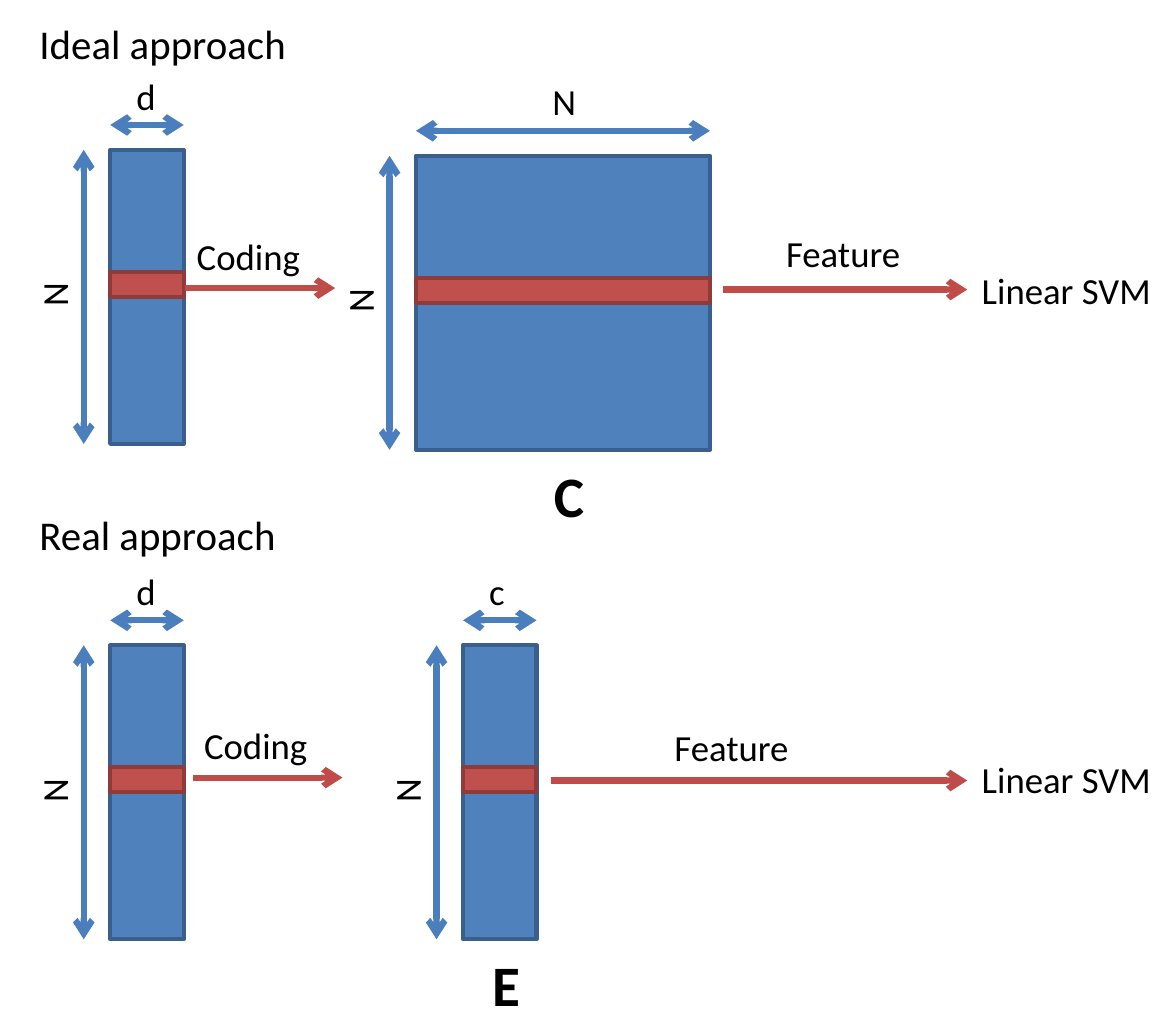
from dataclasses import dataclass

from lxml.etree import SubElement
from pptx import Presentation
from pptx.dml.color import RGBColor
from pptx.enum.shapes import MSO_CONNECTOR, MSO_SHAPE
from pptx.enum.text import MSO_AUTO_SIZE
from pptx.oxml.ns import qn
from pptx.util import Emu, Pt

EMU_PER_PX = 9144  # 100 px to the inch


@dataclass(frozen=True)
class Theme:
    font: str = "Calibri"
    text: str = "000000"
    matrix: str = "4F81BD"
    matrix_edge: str = "3A5F8C"
    dimension: str = "4B7EBC"
    row: str = "C0504D"
    row_edge: str = "8E3B39"
    flow: str = "BF4C48"
    label_size: int = 18
    heading_size: int = 20
    name_size: int = 28
    edge_width: int = 2
    arrow_width: int = 3


def px(n):
    return Emu(n * EMU_PER_PX)


def rgb(color):
    return RGBColor.from_string(color)


class Diagram:
    def __init__(self, slide, theme):
        self.slide = slide
        self.theme = theme

    def box(self, kind, x, y, w, h, fill, edge):
        sp = self.slide.shapes.add_shape(kind, px(x), px(y), px(w), px(h))
        sp.shadow.inherit = False
        sp.fill.solid()
        sp.fill.fore_color.rgb = rgb(fill)
        sp.line.color.rgb = rgb(edge)
        sp.line.width = Pt(self.theme.edge_width)

    def text(self, text, x, y, w=100, h=40, size=None, bold=False, rotation=0):
        sp = self.slide.shapes.add_textbox(px(x), px(y), px(w), px(h))
        sp.rotation = rotation
        tf = sp.text_frame
        tf.word_wrap = True
        tf.auto_size = MSO_AUTO_SIZE.SHAPE_TO_FIT_TEXT
        tf.text = text
        font = tf.paragraphs[0].runs[0].font
        font.name = self.theme.font
        font.size = Pt(size or self.theme.label_size)
        font.bold = bold
        font.color.rgb = rgb(self.theme.text)

    def arrow(self, x1, y1, x2, y2, color, ends=("tailEnd",)):
        line = self.slide.shapes.add_connector(
            MSO_CONNECTOR.STRAIGHT, px(x1), px(y1), px(x2), px(y2))
        line.line.color.rgb = rgb(color)
        line.line.width = Pt(self.theme.arrow_width)
        props = line._element.spPr
        for end in ends:
            SubElement(props.find(qn("a:ln")), qn(f"a:{end}"), type="arrow")
        SubElement(props, qn("a:effectLst"))

    def dimension(self, x1, y1, x2, y2):
        self.arrow(x1, y1, x2, y2, self.theme.dimension, ("headEnd", "tailEnd"))

    def matrix(self, x, y, w, columns, h=200):
        """Matrix with one marked row, N rows high and `columns` wide."""
        t = self.theme
        self.box(MSO_SHAPE.FLOWCHART_PROCESS, x, y, w, h, t.matrix, t.matrix_edge)
        self.dimension(x, y - 17, x + w, y - 17)
        self.text(columns, x + w // 2 - 17, y - 57, 33)
        self.dimension(x - 18, y + h, x - 18, y)
        self.text("N", x - 55, y + 80, 33, rotation=270)
        self.box(MSO_SHAPE.RECTANGLE, x, y + 83, w, 17, t.row, t.row_edge)

    def flow(self, text, text_x, text_y, x1, x2, y):
        self.arrow(x1, y, x2, y, self.theme.flow)
        self.text(text, text_x, text_y)

    def heading(self, text, y):
        self.text(text, 17, y, 192, 44, self.theme.heading_size)

    def matrix_name(self, text, x, y, w):
        self.text(text, x, y, w, 57, self.theme.name_size, bold=True)


def main():
    prs = Presentation()
    prs.slide_width, prs.slide_height = px(800), px(700)
    d = Diagram(prs.slides.add_slide(prs.slide_layouts[6]), Theme())

    d.heading("Ideal approach", 8)
    d.matrix(75, 102, 50, "d")
    d.flow("Coding", 124, 154, 126, 228, 196)
    d.matrix(283, 106, 200, "N")
    d.matrix_name("C", 367, 308, 33)
    d.flow("Feature", 525, 152, 492, 658, 197)

    d.heading("Real approach", 342)
    d.matrix(75, 439, 50, "d")
    d.flow("Coding", 129, 487, 131, 233, 529)
    d.matrix(315, 439, 50, "c")
    d.matrix_name("E", 325, 641, 58)
    d.flow("Feature", 449, 488, 375, 658, 531)

    for y in (177, 510):
        d.text("Linear SVM", 658, y, 142)

    prs.save("out.pptx")


if __name__ == "__main__":
    main()
